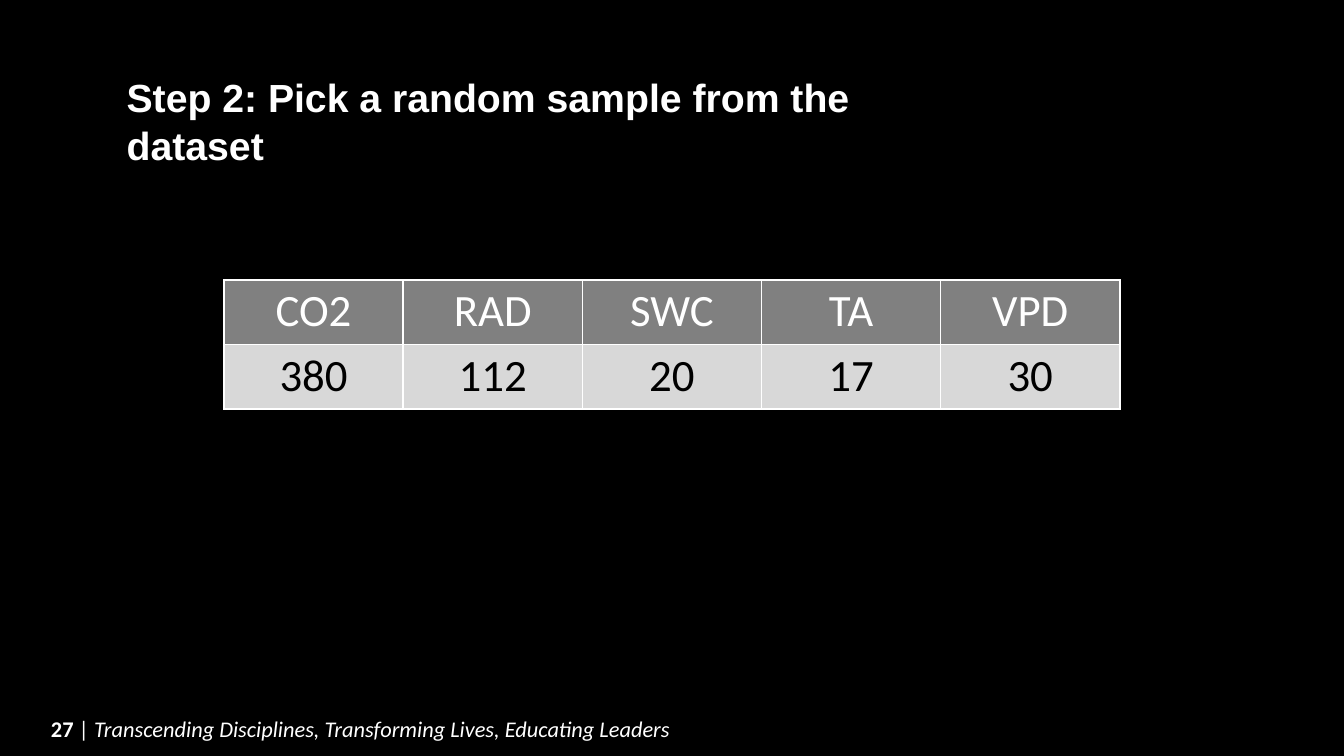
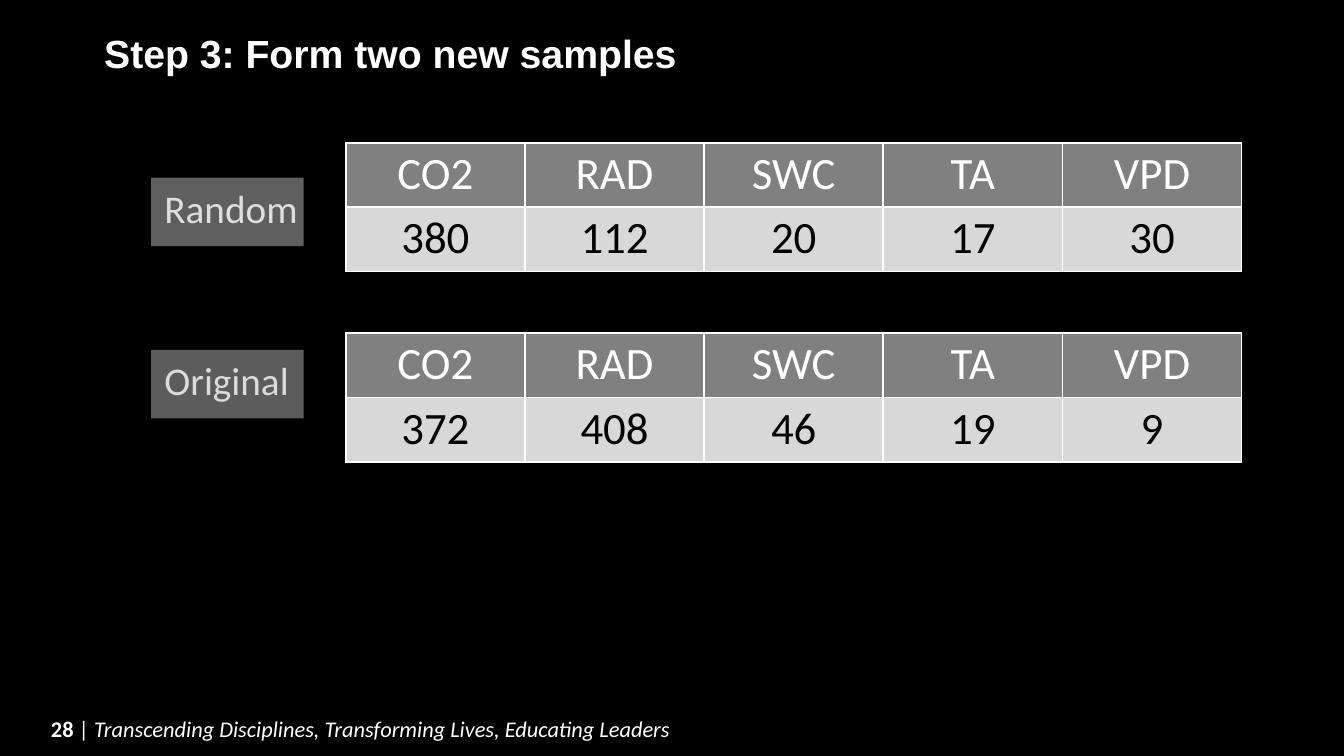
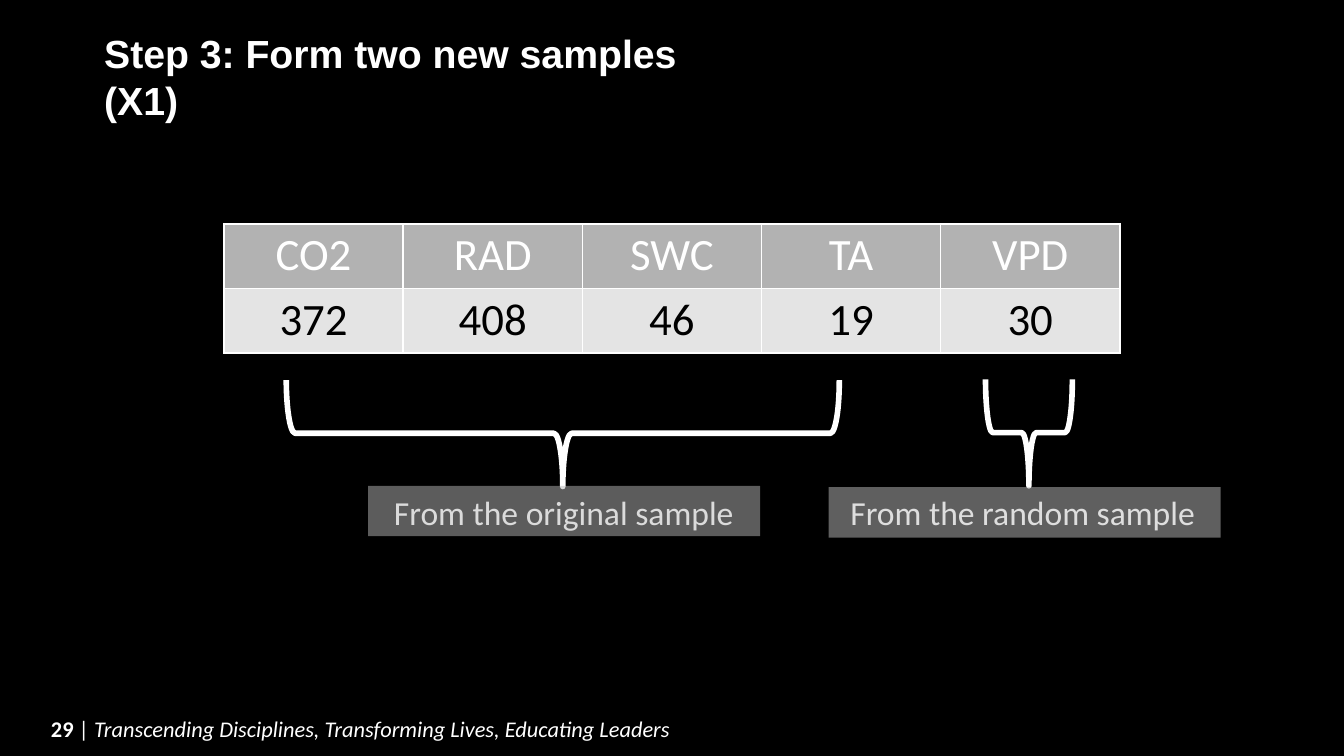
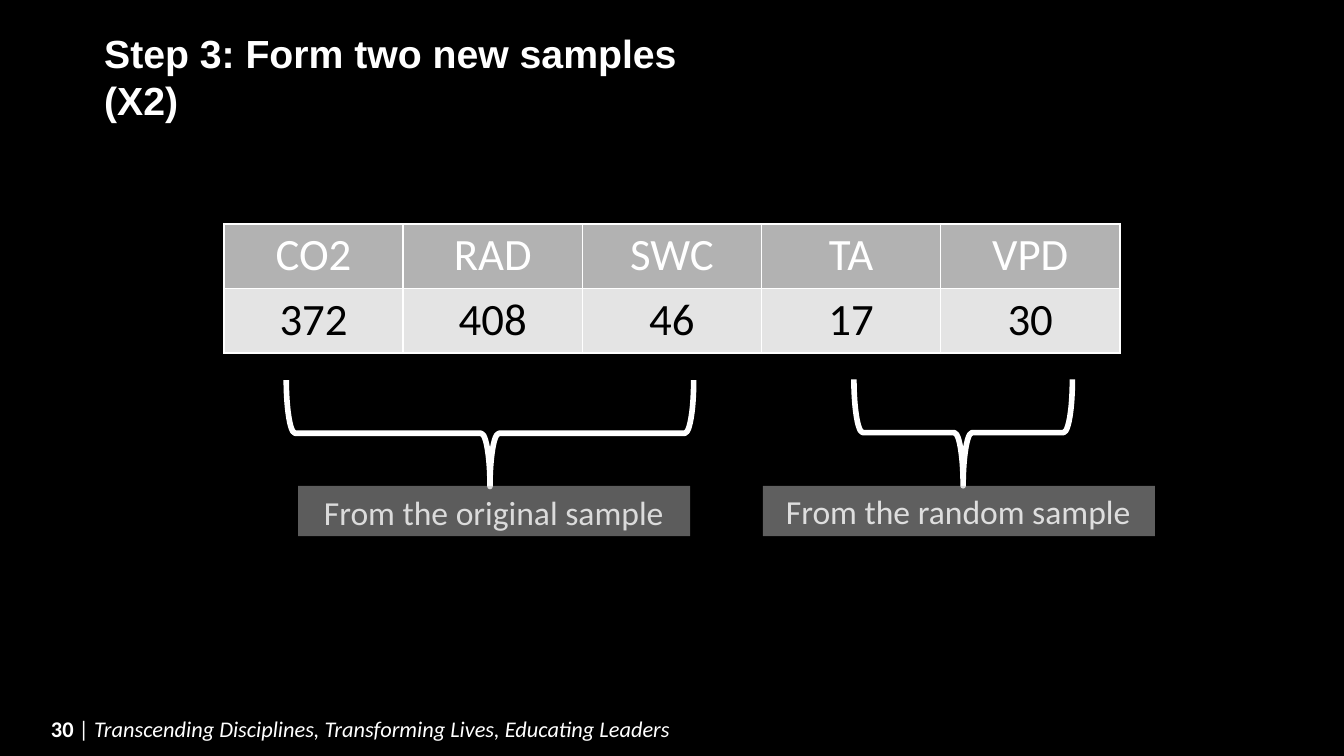
from lxml import etree
from pptx import Presentation
from pptx import util as u
from pptx.dml.color import RGBColor
from pptx.enum import shapes, text
from pptx.oxml import ns

PX = 9525  # EMU in one px, 96 px to the inch
WIDTH, HEIGHT = 960, 540

WHITE = RGBColor(0xFF, 0xFF, 0xFF)
BLACK = RGBColor(0x00, 0x00, 0x00)
HEADER_DARK = RGBColor(0x80, 0x80, 0x80)
VALUES_DARK = RGBColor(0xD8, 0xD8, 0xD8)
HEADER_LIGHT = RGBColor(0xB2, 0xB2, 0xB2)
VALUES_LIGHT = RGBColor(0xE4, 0xE4, 0xE4)
VEIL_WARM = RGBColor(0xBF, 0xBF, 0xBF)
VEIL_COOL = RGBColor(0xB8, 0xB8, 0xB8)

TITLE = {"name": "Arial", "size": u.Pt(21), "bold": True}
LABEL = {"name": "Calibri", "size": u.Pt(21)}
CAPTION = {"name": "Calibri", "size": u.Pt(18)}
FOOTER = {"name": "Calibri", "size": u.Pt(12)}
CELL = {"name": "Calibri", "size": u.Pt(24), "bold": False}

MOTTO = "Transcending Disciplines, Transforming Lives, Educating Leaders"
VARIABLES = ["CO2", "RAD", "SWC", "TA", "VPD"]
RANDOM_SAMPLE = [380, 112, 20, 17, 30]
START_SAMPLE = [372, 408, 46, 19, 9]
COLUMN, ROW = 128, 46


def px(*lengths):
    return [u.Emu(length * PX) for length in lengths]


def set_values(target, values):
    for key, value in values.items():
        setattr(target, key, value)


def set_font(font, style, color=WHITE):
    set_values(font, style)
    font.color.rgb = color


class Deck:
    """Holds the shared style and the slide being built."""

    def __init__(self):
        self.prs = Presentation()
        self.prs.slide_width, self.prs.slide_height = px(WIDTH, HEIGHT)
        self.slide = None

    def new_slide(self, number):
        self.slide = self.prs.slides.add_slide(self.prs.slide_layouts[6])
        fill = self.slide.background.fill
        fill.solid()
        fill.fore_color.rgb = BLACK
        self.footer(number)

    def footer(self, number):
        self.rect((0, 492, WIDTH, 48), BLACK)
        line = self.text((27, 493, 712, 42), [
            (f"{number} ", {"bold": True}),
            ("| ", {}),
            (MOTTO, {"italic": True}),
        ], FOOTER)
        line.line_spacing = u.Pt(24)

    def text(self, box, runs, style):
        frame = self.slide.shapes.add_textbox(*px(*box)).text_frame
        set_values(frame, {"word_wrap": True,
                           "auto_size": text.MSO_AUTO_SIZE.SHAPE_TO_FIT_TEXT})
        paragraph = frame.paragraphs[0]
        for words, extra in runs:
            run = paragraph.add_run()
            run.text = words
            set_font(run.font, style | extra)
        return paragraph

    def title(self, words, box=(65, 16, 480, 43)):
        self.text(box, [(words, {})], TITLE)

    def rect(self, box, color, opacity=100):
        shape = self.slide.shapes.add_shape(shapes.MSO_SHAPE.RECTANGLE, *px(*box))
        shape.shadow.inherit = False
        shape.line.fill.background()
        shape.fill.solid()
        shape.fill.fore_color.rgb = color
        if opacity < 100:
            tint = shape.element.spPr.find(ns.qn("a:solidFill"))[0]
            etree.SubElement(tint, ns.qn("a:alpha"), val=str(opacity * 1000))

    def veiled_text(self, words, text_box, style, veil_box, veil):
        """Text dimmed by a half-transparent rectangle in front of it."""
        self.text(text_box, [(words, {})], style)
        self.rect(veil_box, veil, opacity=50)

    def brace(self, left, length, top=271, depth=76):
        """Brace opening upwards: a left brace turned about its centre."""
        shift = (length - depth) // 2
        shape = self.slide.shapes.add_shape(
            shapes.MSO_SHAPE.LEFT_BRACE, *px(left + shift, top - shift, depth, length))
        shape.rotation = 270
        shape.shadow.inherit = False
        shape.fill.background()
        shape.line.color.rgb = WHITE
        shape.line.width = u.Pt(3)

    def sample(self, left, top, values, header=HEADER_DARK, body=VALUES_DARK):
        """Table with the variables above one row of values."""
        columns = len(VARIABLES)
        table = self.slide.shapes.add_table(
            2, columns, *px(left, top, COLUMN * columns, ROW * 2)).table
        set_values(table, {"first_row": False, "horz_banding": False})
        rows = [(VARIABLES, header, WHITE), (values, body, BLACK)]
        for r, (entries, fill, color) in enumerate(rows):
            for c, entry in enumerate(entries):
                self.cell(table.cell(r, c), str(entry), fill, color)

    def cell(self, cell, words, fill, color):
        side, edge = px(7, 3)
        set_values(cell, {"text": words, "margin_left": side, "margin_right": side,
                          "margin_top": edge, "margin_bottom": edge})
        paragraph = cell.text_frame.paragraphs[0]
        paragraph.alignment = text.PP_ALIGN.CENTER
        set_font(paragraph.runs[0].font, CELL, color)
        # Borders come before the fill in the cell properties
        properties = cell._tc.get_or_add_tcPr()
        for name in ("a:lnL", "a:lnR", "a:lnT", "a:lnB"):
            border = etree.SubElement(properties, ns.qn(name), w=str(u.Pt(1)))
            solid = etree.SubElement(border, ns.qn("a:solidFill"))
            etree.SubElement(solid, ns.qn("a:srgbClr"), val=str(WHITE))
        cell.fill.solid()
        cell.fill.fore_color.rgb = fill


def mixed_sample(deck, number, name, values, parts):
    """Slide on a new sample whose values come from two sources."""
    deck.new_slide(number)
    deck.title(f"Step 3: Form two new samples ({name})")
    deck.sample(160, 160, values, HEADER_LIGHT, VALUES_LIGHT)
    for source, veil, brace, text_at, veil_at in parts:
        deck.brace(*brace)
        deck.veiled_text(f"From the {source} sample", (*text_at, 274, 38), CAPTION,
                         (*veil_at, 280, 36), veil)


def main():
    deck = Deck()

    # Step 2: random sample
    deck.new_slide(27)
    deck.title("Step 2: Pick a random sample from the dataset", (81, 48, 601, 43))
    deck.sample(160, 200, RANDOM_SAMPLE)

    # Step 3: the two samples side by side
    deck.new_slide(28)
    deck.title("Step 3: Form two new samples")
    for words, values, table_top, label_top, veil in [
        ("Random", RANDOM_SAMPLE, 102, 127, VEIL_WARM),
        ("Original", START_SAMPLE, 238, 250, VEIL_COOL),
    ]:
        deck.sample(247, table_top, values)
        deck.veiled_text(words, (108, label_top, 124, 43), LABEL,
                         (108, label_top, 109, 49), veil)

    # Step 3: new samples, first values kept and the rest random
    mixed_sample(deck, 29, "X1", START_SAMPLE[:4] + RANDOM_SAMPLE[4:], [
        ("original", VEIL_COOL, (205, 395), (272, 347), (263, 347)),
        ("random", VEIL_WARM, (704, 62), (598, 347), (592, 348)),
    ])
    mixed_sample(deck, 30, "X2", START_SAMPLE[:3] + RANDOM_SAMPLE[3:], [
        ("original", VEIL_COOL, (205, 291), (222, 347), (213, 347)),
        ("random", VEIL_WARM, (610, 156), (552, 346), (545, 347)),
    ])

    deck.prs.save("out.pptx")


if __name__ == "__main__":
    main()
